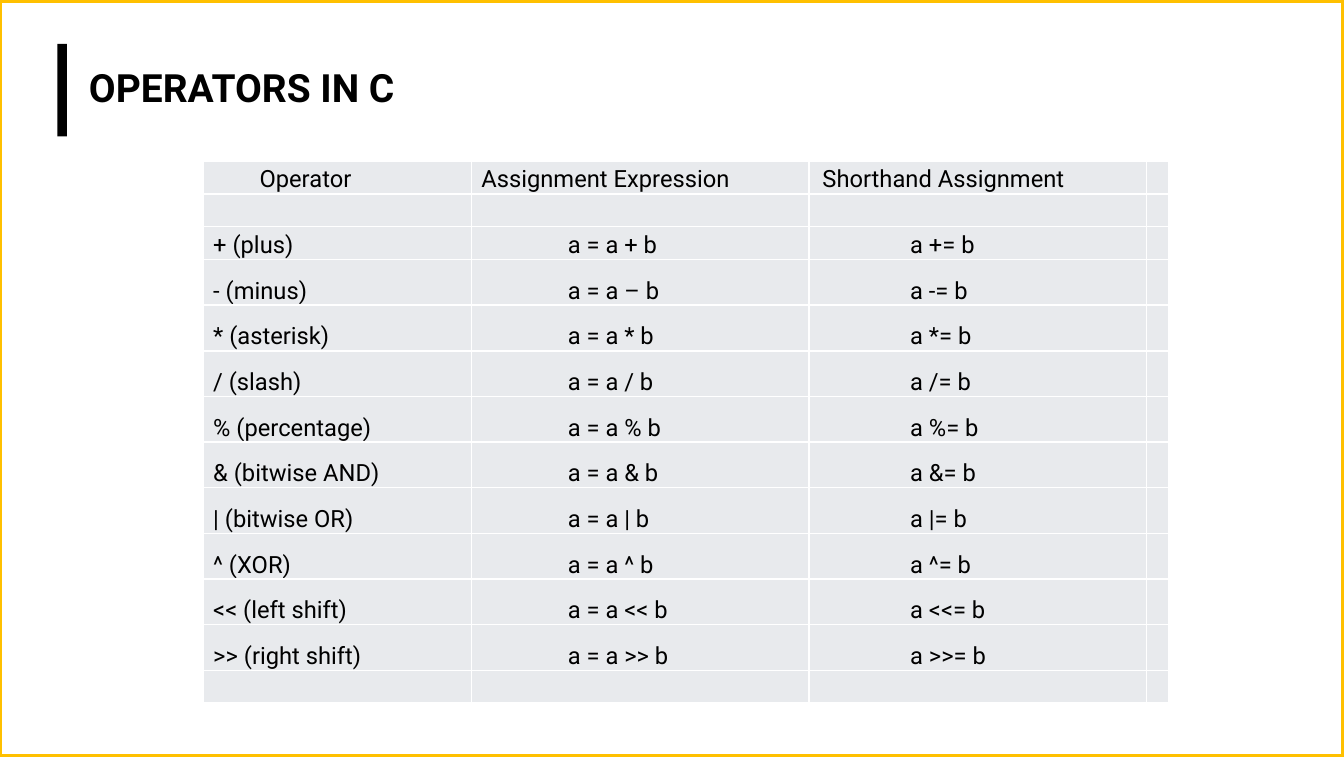
from dataclasses import dataclass

import lxml.etree
import pptx
import pptx.dml.color
import pptx.enum.shapes
import pptx.enum.text
import pptx.oxml
import pptx.oxml.ns
import pptx.util

Inches = pptx.util.Inches
Pt = pptx.util.Pt
qn = pptx.oxml.ns.qn

INK = {"black": "000000", "white": "FFFFFF", "gold": "FFC000", "grey": "E8EAED"}
FONT = "Roboto"
WIDE, HIGH = 11.03, 6.21
COLS = [2.2, 2.77, 2.77, 0.18]
SHORT = 0.27
TALL = (4.45 - 4 * SHORT) / 9


@dataclass
class Box:
    left: float
    top: float
    width: float
    height: float

    def place(self) -> list:
        return [Inches(n) for n in (self.left, self.top, self.width, self.height)]


@dataclass
class Panel:
    box: Box
    fill: str
    line: str = ""
    alpha: int = 100


@dataclass
class Op:
    sign: str
    name: str
    term: str = ""

    def texts(self) -> list[str]:
        return [
            f"{self.sign} ({self.name})",
            f"a = a {self.term or self.sign} b",
            f"a {self.sign}= b",
        ]


@dataclass
class Row:
    texts: list[str]
    pads: list[float]
    height: float


PANELS = [
    Panel(Box(0, 0, WIDE, HIGH), "white", "gold", 49),
    Panel(Box(0.47, 0.36, 0.08, 0.76), "black"),
]
OPS = [
    Op("+", "plus"),
    Op("-", "minus", "–"),
    Op("*", "asterisk"),
    Op("/", "slash"),
    Op("%", "percentage"),
    Op("&", "bitwise AND"),
    Op("|", "bitwise OR"),
    Op("^", "XOR"),
    Op("<<", "left shift"),
    Op(">>", "right shift"),
]
HEADS = ["Operator", "Assignment Expression", "Shorthand Assignment"]


def color(name: str) -> pptx.dml.color.RGBColor:
    return pptx.dml.color.RGBColor.from_string(INK[name])


def paint(font, size: float, bold: bool = False) -> None:
    font.name = FONT
    font.size = Pt(size)
    font.bold = bold
    font.color.rgb = color("black")


def draw_panel(slide, panel: Panel) -> None:
    kind = pptx.enum.shapes.MSO_SHAPE.RECTANGLE
    shape = slide.shapes.add_shape(kind, *panel.box.place())
    shape.shadow.inherit = False
    shape.fill.solid()
    shape.fill.fore_color.rgb = color(panel.fill)
    if panel.alpha < 100:
        tint = shape.fill._xPr.find(qn("a:solidFill"))[0]
        lxml.etree.SubElement(tint, qn("a:alpha"), val=str(panel.alpha * 1000))
    if panel.line:
        shape.line.color.rgb = color(panel.line)
        shape.line.width = Pt(3)
    else:
        shape.line.fill.background()


def draw_title(slide, text: str, box: Box) -> None:
    title = slide.shapes.title
    slide.shapes._spTree.append(title._element)
    title.left, title.top, title.width, title.height = box.place()
    frame = title.text_frame
    frame.text = text
    frame.word_wrap = True
    frame.auto_size = pptx.enum.text.MSO_AUTO_SIZE.NONE
    frame.vertical_anchor = pptx.enum.text.MSO_ANCHOR.MIDDLE
    para = frame.paragraphs[0]
    para.alignment = pptx.enum.text.PP_ALIGN.LEFT
    para.line_spacing = 0.9
    paint(para.runs[0].font, 23, True)


def add_edges(cell) -> None:
    props = cell._tc.get_or_add_tcPr()
    for side in ("lnL", "lnR", "lnT", "lnB"):
        edge = lxml.etree.SubElement(props, qn(f"a:{side}"), w=str(Pt(1)))
        fill = lxml.etree.SubElement(edge, qn("a:solidFill"))
        lxml.etree.SubElement(fill, qn("a:srgbClr"), val=INK["white"])


def fill_cell(cell, text: str, pad: float) -> None:
    add_edges(cell)
    cell.fill.solid()
    cell.fill.fore_color.rgb = color("grey")
    cell.margin_left = cell.margin_right = cell.margin_top = cell.margin_bottom = 0
    cell.vertical_anchor = pptx.enum.text.MSO_ANCHOR.BOTTOM
    para = cell.text_frame.paragraphs[0]
    if not text:
        para._p.get_or_add_endParaRPr().set("sz", "1200")
        return
    para.text = text
    para.line_spacing = 1.15
    para.space_after = Pt(10)
    props = para._p.get_or_add_pPr()
    props.set("marL", str(Inches(pad)))
    props.set("indent", "0")
    paint(para.runs[0].font, 14)


def draw_table(slide, rows: list[Row], box: Box) -> None:
    table = slide.shapes.add_table(len(rows), len(COLS), *box.place()).table
    table.first_row = table.horz_banding = False
    for col, width in zip(table.columns, COLS):
        col.width = Inches(width)
    for y, row in enumerate(rows):
        table.rows[y].height = Inches(row.height)
        for x, (text, pad) in enumerate(zip(row.texts, row.pads)):
            fill_cell(table.cell(y, x), text, pad)


def main() -> None:
    deck = pptx.Presentation()
    deck.slide_width, deck.slide_height = Inches(WIDE), Inches(HIGH)
    slide = deck.slides.add_slide(deck.slide_layouts[5])
    for panel in PANELS:
        draw_panel(slide, panel)
    draw_title(slide, "OPERATORS IN C", Box(0.63, 0.36, 5.62, 0.76))
    blank = Row([""] * 4, [0] * 4, SHORT)
    rows = [Row([*HEADS, ""], [0.46, 0.08, 0.11, 0], SHORT), blank]
    for i, op in enumerate(OPS):
        rows.append(Row([*op.texts(), ""], [0.08, 0.79, 0.83, 0], TALL if i else SHORT))
    rows.append(blank)
    draw_table(slide, rows, Box(1.67, 1.32, sum(COLS), 4.45))
    deck.save("out.pptx")


if __name__ == "__main__":
    main()
